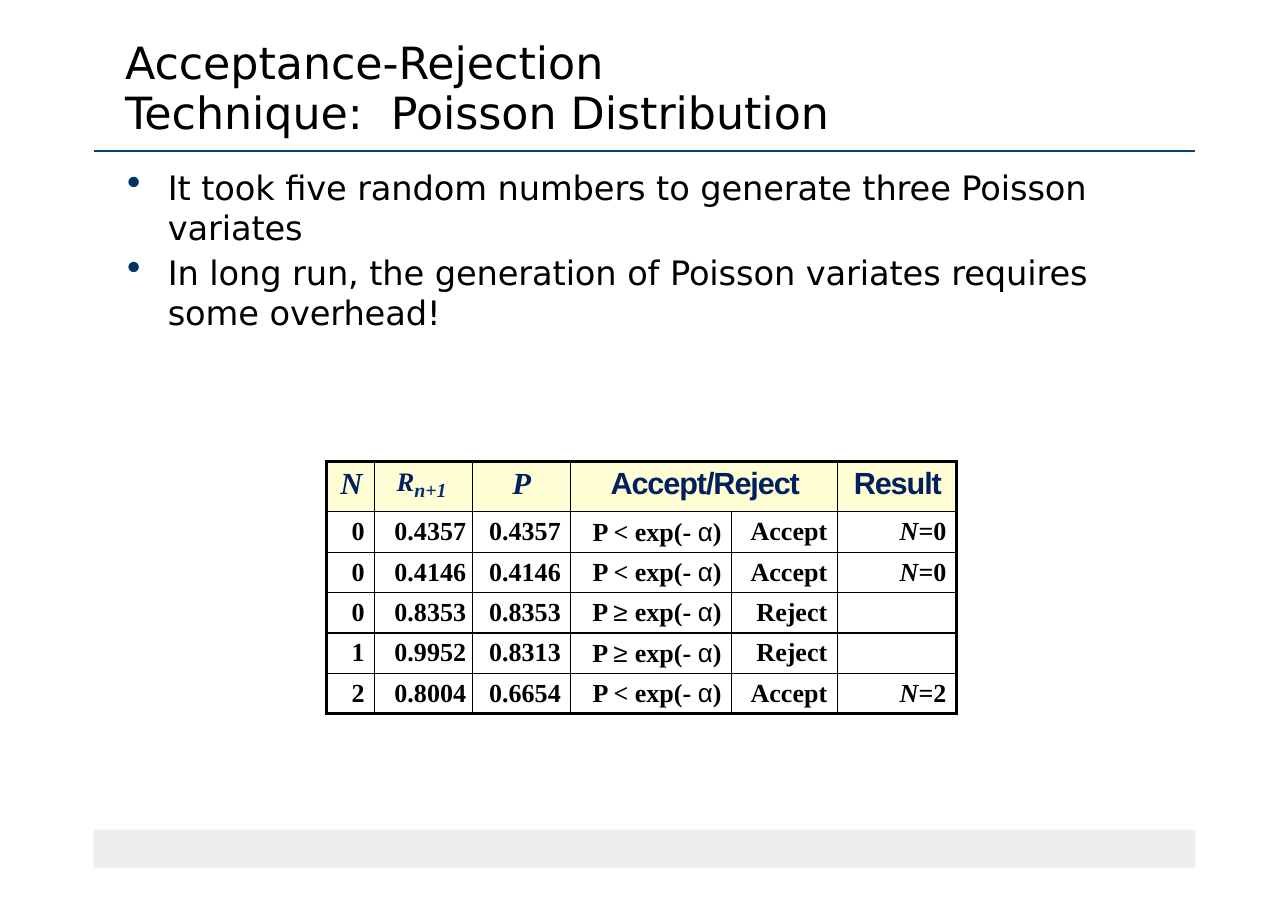
from lxml import etree
from pptx import Presentation
from pptx.dml.color import RGBColor
from pptx.enum.shapes import MSO_CONNECTOR as Connector, MSO_SHAPE as Shape
from pptx.enum.text import PP_ALIGN as Align
from pptx.oxml.ns import qn
from pptx.util import Pt

SANS, SERIF, ARIAL = "DejaVu Sans", "Times New Roman", "Arial"
BLACK, NAVY, CREAM = "000000", "002060", "FFFED5"
LEFT, RIGHT, CENTER = Align.LEFT, Align.RIGHT, Align.CENTER
COLUMN_WIDTHS = [31.7, 64.1, 64.1, 105.1, 69.1, 77.8]
HEADER_HEIGHT, ROW_HEIGHT = 32.8, 26.4
BODY_ALIGNS = [RIGHT, LEFT, RIGHT, RIGHT, RIGHT, RIGHT]

# N, random number, P, comparison sign, result
TRIALS = [
    ("0", "0.4357", "0.4357", "<", "0"),
    ("0", "0.4146", "0.4146", "<", "0"),
    ("0", "0.8353", "0.8353", "≥", None),
    ("1", "0.9952", "0.8313", "≥", None),
    ("2", "0.8004", "0.6654", "<", "2"),
]


def colour(hex_string):
    return RGBColor.from_string(hex_string)


def add_run(paragraph, text, size, font=SERIF, color=BLACK, bold=False,
            italic=False, spacing=0, baseline=0):
    run = paragraph.add_run()
    run.text = text
    run.font.size = Pt(size)
    run.font.name = font
    run.font.bold = bold
    run.font.italic = italic
    run.font.color.rgb = colour(color)
    properties = run.font._element
    if spacing:
        properties.set("spc", str(round(spacing * 100)))
    if baseline:
        properties.set("baseline", str(baseline * 1000))


def add_text(slide, left, top, width, height, inset, lines, size, pitch, gap):
    """Add a text box with one paragraph per line and return its paragraphs."""
    text_frame = slide.shapes.add_textbox(
        Pt(left), Pt(top), Pt(width), Pt(height)).text_frame
    text_frame.word_wrap = True
    text_frame.margin_left = text_frame.margin_right = text_frame.margin_bottom = 0
    text_frame.margin_top = Pt(inset)
    for index, line in enumerate(lines):
        paragraph = text_frame.add_paragraph() if index else text_frame.paragraphs[0]
        paragraph.line_spacing = Pt(pitch)
        paragraph.space_before = Pt(gap)
        add_run(paragraph, line, size, SANS, spacing=-0.07)
    return text_frame.paragraphs


def add_bullet(paragraph, indent):
    properties = paragraph._p.get_or_add_pPr()
    properties.set("marL", str(Pt(28)))
    properties.set("indent", str(-Pt(indent)))
    bullet_color = etree.SubElement(properties, qn("a:buClr"))
    etree.SubElement(bullet_color, qn("a:srgbClr"), val="003366")
    etree.SubElement(properties, qn("a:buSzPct"), val="118000")
    etree.SubElement(properties, qn("a:buChar"), char="•")


def add_rule(slide, left, top, width):
    rule = slide.shapes.add_connector(
        Connector.STRAIGHT, Pt(left), Pt(top), Pt(left + width), Pt(top))
    rule.line.color.rgb = colour("004479")
    rule.line.width = Pt(1)
    etree.SubElement(rule._element.spPr, qn("a:effectLst"))


def add_bar(slide, left, top, width, height):
    bar = slide.shapes.add_shape(
        Shape.RECTANGLE, Pt(left), Pt(top), Pt(width), Pt(height))
    bar.shadow.inherit = False
    bar.fill.solid()
    bar.fill.fore_color.rgb = colour("EEEEEE")
    bar.line.fill.background()


def set_borders(cell, widths):
    """Draw the left, right, top and bottom borders, which precede the fill."""
    properties = cell._tc.get_or_add_tcPr()
    for index, (side, width) in enumerate(zip("LRTB", widths)):
        border = etree.Element(qn(f"a:ln{side}"), w=str(Pt(width)))
        fill = etree.SubElement(border, qn("a:solidFill"))
        etree.SubElement(fill, qn("a:srgbClr"), val=BLACK)
        properties.insert(index, border)


def fill_cell(cell, runs, align, left=0, right=0, top=3.6):
    cell.margin_left, cell.margin_right = Pt(left), Pt(right)
    cell.margin_top, cell.margin_bottom = Pt(top), 0
    paragraph = cell.text_frame.paragraphs[0]
    paragraph.alignment = align
    for text, style in runs:
        add_run(paragraph, text, **style)


def trial_cells(trial):
    """Return the runs of each cell in one body row."""
    number, random_number, product, sign, result = trial
    bold = dict(size=17, bold=True)
    symbol = dict(size=17, font=ARIAL)
    comparison = [("P ", bold), (sign + " ", bold if sign == "<" else symbol),
                  ("exp(- ", bold), ("α", symbol), (")", bold)]
    verdict = "Accept" if sign == "<" else "Reject"
    outcome = [("N", dict(bold, italic=True)), ("=" + result, bold)] if result else []
    return [[(number, bold)], [(random_number, bold)], [(product, bold)],
            comparison, [(verdict, bold)], outcome]


def fill_header(table):
    symbol = dict(size=20, color=NAVY, bold=True, italic=True)
    label = dict(size=20, font=ARIAL, color=NAVY, bold=True, spacing=-0.75)
    table.cell(0, 3).merge(table.cell(0, 4))
    fill_cell(table.cell(0, 0), [("N", symbol)], RIGHT, right=8)
    fill_cell(table.cell(0, 1),
              [("R", dict(symbol, size=30, baseline=14)),
               ("n+1", dict(symbol, size=13, color="002F73"))],
              LEFT, left=14.4, top=8.6)
    table.cell(0, 1).text_frame.paragraphs[0].line_spacing = Pt(21.6)
    fill_cell(table.cell(0, 2), [("P", symbol)], CENTER)
    fill_cell(table.cell(0, 3), [("Accept/Reject", label)], LEFT, left=26)
    fill_cell(table.cell(0, 5), [("Result", label)], LEFT, left=10.8)


def add_trial_table(slide, left, top):
    row_count, column_count = len(TRIALS) + 1, len(COLUMN_WIDTHS)
    height = HEADER_HEIGHT + ROW_HEIGHT * len(TRIALS)
    table = slide.shapes.add_table(
        row_count, column_count, Pt(left), Pt(top),
        Pt(sum(COLUMN_WIDTHS)), Pt(height)).table
    table.first_row = table.horz_banding = False
    for column, width in zip(table.columns, COLUMN_WIDTHS):
        column.width = Pt(width)
    for index, row in enumerate(table.rows):
        row.height = Pt(ROW_HEIGHT if index else HEADER_HEIGHT)

    fill_header(table)
    for row, trial in enumerate(TRIALS, start=1):
        for column, (runs, align) in enumerate(zip(trial_cells(trial), BODY_ALIGNS)):
            margins = dict(left=13) if align == LEFT else dict(right=6.5)
            fill_cell(table.cell(row, column), runs, align, **margins)

    # Cell fills, thick outer border and thin inner lines
    for row in range(row_count):
        for column in range(column_count):
            cell = table.cell(row, column)
            if row == 0:
                cell.fill.solid()
                cell.fill.fore_color.rgb = colour(CREAM)
            else:
                cell.fill.background()
            outer = (column == 0, column == column_count - 1,
                     row == 0, row == row_count - 1)
            set_borders(cell, [2.25 if edge else 1 for edge in outer])


def main():
    presentation = Presentation()
    presentation.slide_width, presentation.slide_height = Pt(841.68), Pt(594.72)
    slide = presentation.slides.add_slide(presentation.slide_layouts[6])

    # Page frame
    add_bar(slide, 61.2, 542.2, 720, 25.2)
    add_rule(slide, 61.2, 98.7, 720)

    # Title
    add_text(slide, 81.7, 21.6, 470, 68.4, 2.9,
             ["Acceptance-Rejection Technique:  Poisson Distribution"], 29, 33, 2.6)

    # Conclusions
    conclusions = add_text(
        slide, 81.7, 107.3, 643, 112.3, 2.2,
        ["It took five random numbers to generate three Poisson variates",
         "In long run, the generation of Poisson variates requires some overhead!"],
        22, 26, 3.8)
    for paragraph in conclusions:
        add_bullet(paragraph, 26.6)

    # Trials
    add_trial_table(slide, 213.1, 301.7)
    presentation.save("out.pptx")


main()
